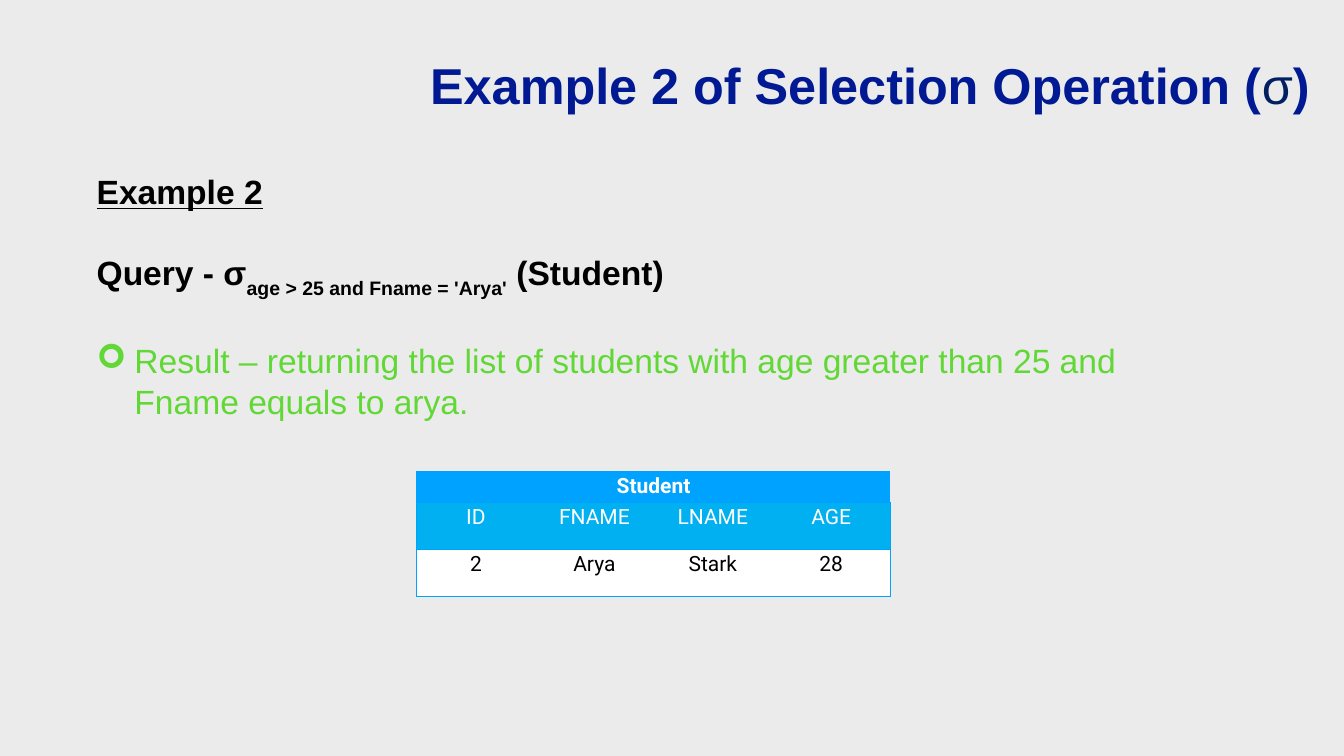
from lxml.etree import SubElement
from pptx import Presentation
from pptx.dml.color import RGBColor
from pptx.enum.text import MSO_ANCHOR as Anchor, PP_ALIGN as Align
from pptx.oxml.ns import qn
from pptx.util import Inches, Pt

COLORS = {
    "page": "EBEBEB", "title": "011993", "sigma": "002060", "text": "000000",
    "result": "61D836", "caption": "00A2FF", "header": "00B0F0", "white": "FFFFFF",
}
NO_GRID_STYLE = "{2D5ABB26-0587-4C30-8999-92F81FD0307C}"


def rgb(name):
    return RGBColor.from_string(COLORS[name])


def add_span(para, text, size, color, bold=True, font="Arial"):
    span = para.add_run()
    span.text = text
    span.font.size = Pt(size)
    span.font.name = font
    span.font.bold = bold
    span.font.color.rgb = rgb(color)
    return span


def add_box(page, left, top, width, height):
    box = page.shapes.add_textbox(Inches(left), Inches(top), Inches(width), Inches(height))
    box.text_frame.word_wrap = True
    return box.text_frame


def add_title(page):
    frame = add_box(page, 1.55, 1.01, 24.5, 1.32)
    frame.vertical_anchor = Anchor.MIDDLE
    frame.margin_left = frame.margin_right = Inches(0.06)
    frame.margin_top = frame.margin_bottom = Inches(0.06)
    para = frame.paragraphs[0]
    para.alignment = Align.RIGHT
    add_span(para, "Example 2 of Selection Operation (", 72, "title")
    add_span(para, "σ", 72, "sigma", bold=False)
    add_span(para, ")", 72, "title")


def set_bullet(para, char, indent):
    props = para._p.get_or_add_pPr()
    props.set("marL", str(Inches(indent)))
    props.set("indent", str(-Inches(indent)))
    SubElement(props, qn("a:buFont"), typeface="Wingdings")
    SubElement(props, qn("a:buChar"), char=char)


def add_body(page):
    frame = add_box(page, 1.82, 3.35, 22.3, 6.56)
    heading = frame.paragraphs[0]
    add_span(heading, "Example 2", 48, "text").font.underline = True

    query = frame.add_paragraph()
    query.space_before = Pt(58)
    add_span(query, "Query - σ", 48, "text")
    condition = add_span(query, "age > 25 and Fname = 'Arya'", 48, "text")
    condition.font._element.set("baseline", "-30000")
    add_span(query, "\N{NO-BREAK SPACE}(Student)", 48, "text")

    result = frame.add_paragraph()
    result.space_before = Pt(58)
    set_bullet(result, "➢", 0.75)
    add_span(result, "Result – returning the list of students with age greater than 25 "
             "and Fname equals to arya.", 48, "result", bold=False)


def set_borders(cell, sides):
    props = cell._tc.get_or_add_tcPr()
    for side in sides:
        line = SubElement(props, qn(f"a:ln{side}"), w=str(Pt(1)))
        fill = SubElement(line, qn("a:solidFill"))
        SubElement(fill, qn("a:srgbClr"), val=COLORS["caption"])


def fill_cell(cell, text, fill, color, bold, sides):
    set_borders(cell, sides)
    cell.fill.solid()
    cell.fill.fore_color.rgb = rgb(fill)
    para = cell.text_frame.paragraphs[0]
    para.alignment = Align.CENTER
    if text:
        add_span(para, text, 30, color, bold, "Roboto")


def add_student_table(page):
    rows = [
        (["Student", "", "", ""], "caption", "white", True),
        (["ID", "FNAME", "LNAME", "AGE"], "header", "white", False),
        (["2", "Arya", "Stark", "28"], "white", "text", False),
    ]
    table = page.shapes.add_table(
        3, 4, Inches(8.27), Inches(9.36), Inches(9.4), Inches(2.42)).table
    table.first_row = table.horz_banding = False
    table._tbl.tblPr.find(qn("a:tableStyleId")).text = NO_GRID_STYLE
    for row, height in zip(table.rows, (0.54, 0.94, 0.94)):
        row.height = Inches(height)
    for r, (texts, fill, color, bold) in enumerate(rows):
        for c, text in enumerate(texts):
            sides = ("L" if c == 0 else "") + ("R" if c == 3 else "") + "TB"
            fill_cell(table.cell(r, c), text, fill, color, bold, sides)
    table.cell(0, 0).merge(table.cell(0, 3))


def main():
    """Build the selection operation slide."""
    deck = Presentation()
    deck.slide_width, deck.slide_height = Inches(26.67), Inches(15)
    page = deck.slides.add_slide(deck.slide_layouts[6])
    page.background.fill.solid()
    page.background.fill.fore_color.rgb = rgb("page")
    add_body(page)
    add_title(page)
    add_student_table(page)
    deck.save("out.pptx")


if __name__ == "__main__":
    main()
